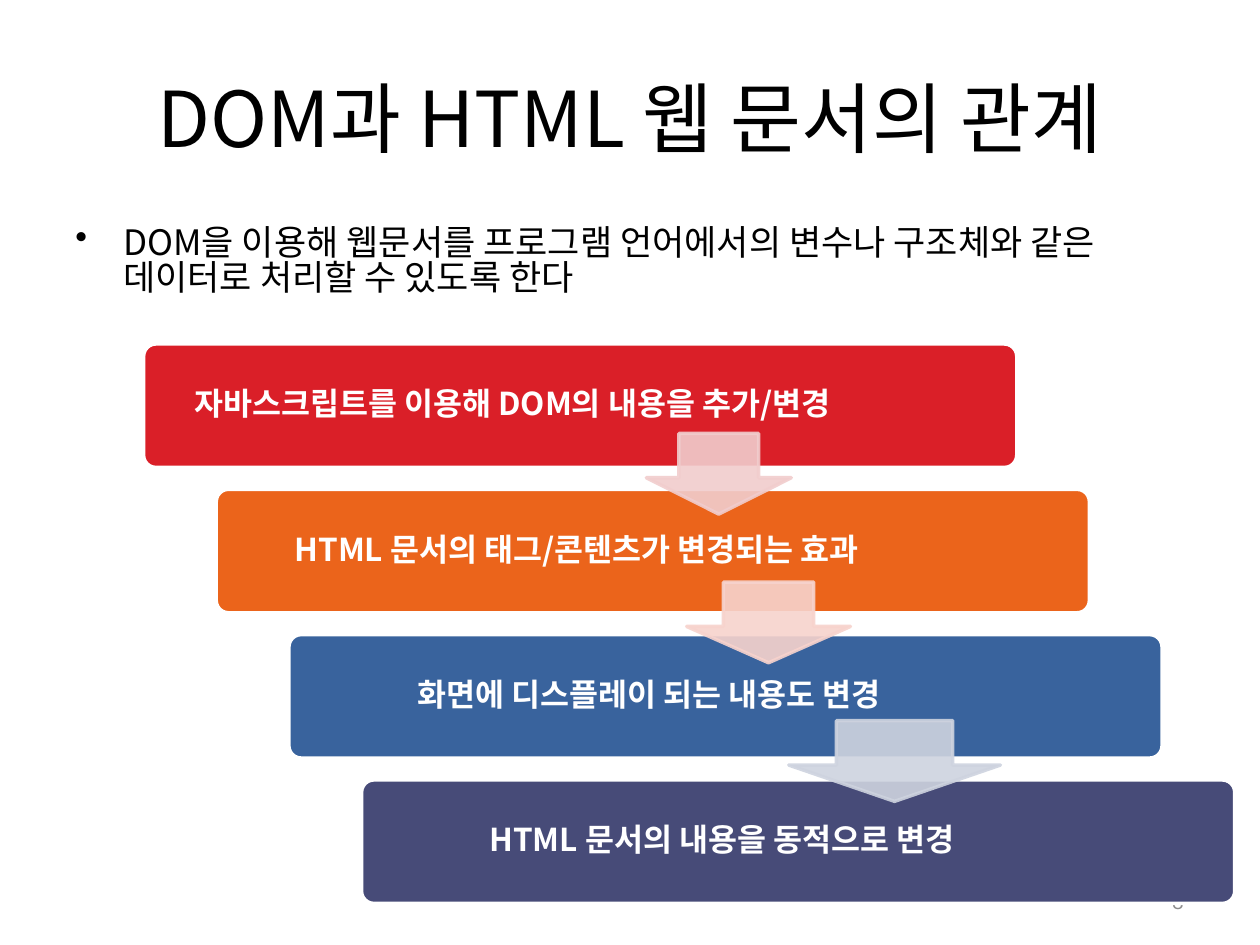
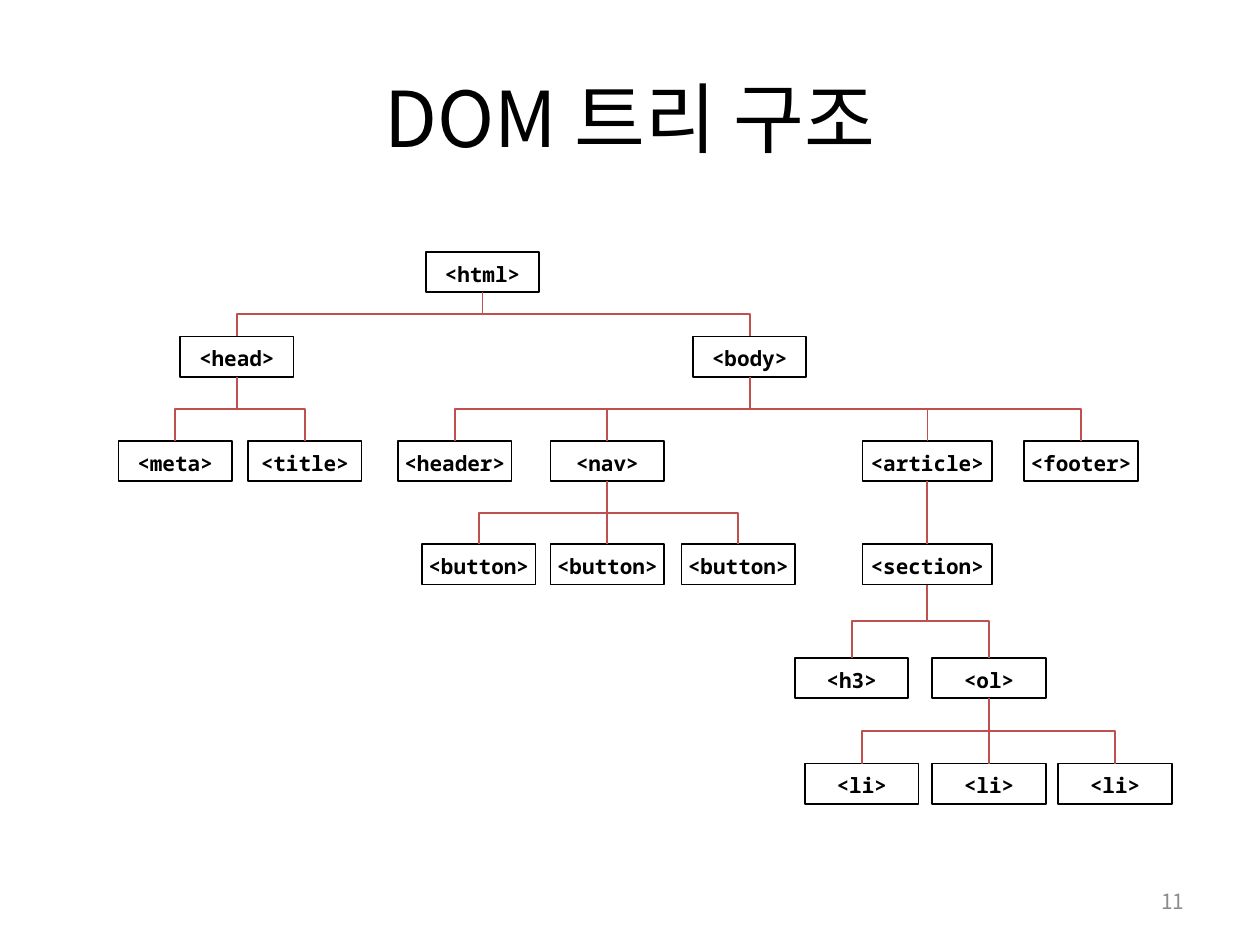
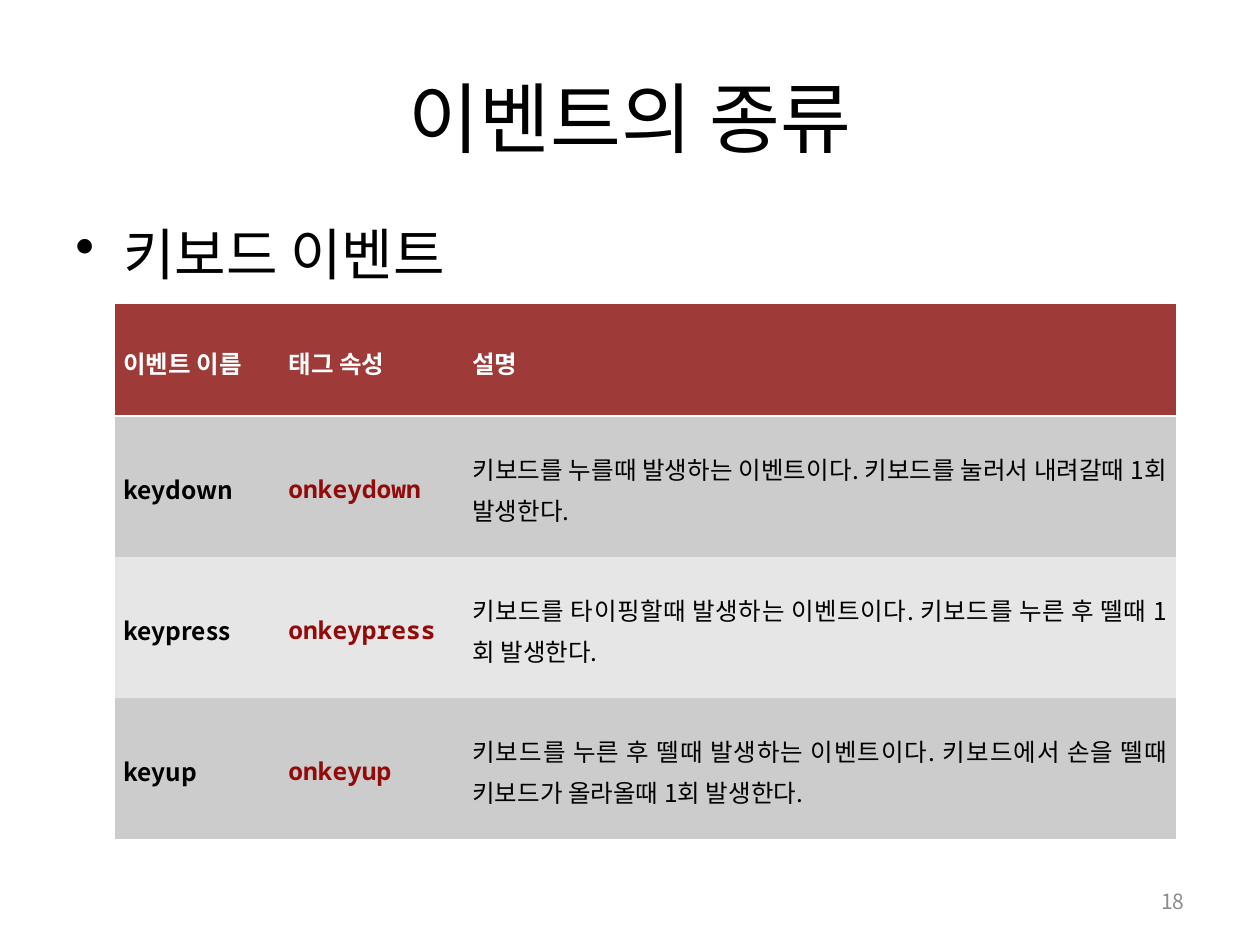
from dataclasses import dataclass

from pptx import Presentation
from pptx.dml.color import RGBColor as RGB
from pptx.enum.shapes import MSO_CONNECTOR as LINK, MSO_SHAPE as FORM
from pptx.enum.text import MSO_ANCHOR as ANCHOR, PP_ALIGN as ALIGN
from pptx.oxml.ns import qn
from pptx.oxml.xmlchemy import OxmlElement as Node
from pptx.util import Inches, Pt


@dataclass(frozen=True)
class Theme:
    sans: str = "Noto Sans CJK KR"
    mono: str = "Noto Sans Mono"
    ink: str = "000000"
    white: str = "FFFFFF"
    gray: str = "8C8C8C"
    link: str = "C0504D"
    head: str = "9E3A38"
    attr: str = "900B09"
    bands: tuple = ("CCCCCC", "E6E6E6")
    title: int = 44
    big: int = 32
    body: int = 20
    step: int = 18
    cell: int = 14
    small: int = 12


T = Theme()


def write(frame, text, size, color=T.ink, face=T.sans, bold=False,
          align=ALIGN.LEFT, space=None, pad=None, anchor=ANCHOR.MIDDLE):
    """Fill a text frame or table cell with one styled paragraph."""
    par = getattr(frame, "text_frame", frame).paragraphs[0]
    par.text = text
    par.alignment = align
    if space:
        par.line_spacing = space
    font = par.font
    font.size, font.bold, font.name = Pt(size), bold, face
    font.color.rgb = RGB.from_string(color)
    asian = Node("a:ea")
    asian.set("typeface", face)
    par._p.pPr.find(qn("a:defRPr")).find(qn("a:latin")).addnext(asian)
    frame.vertical_anchor = anchor
    if pad:
        frame.margin_left = frame.margin_right = Inches(pad[0])
        frame.margin_top = frame.margin_bottom = Inches(pad[1])
    return par


def place(page, form, left, top, wide, high, fill=None, edge=None, width=1):
    """Add a shape, or a wrapping text box when form is None."""
    area = [Inches(v) for v in (left, top, wide, high)]
    if form is None:
        box = page.shapes.add_textbox(*area)
        box.text_frame.word_wrap = True
        return box
    box = page.shapes.add_shape(form, *area)
    box.shadow.inherit = False
    box.fill.solid()
    box.fill.fore_color.rgb = RGB.from_string(fill)
    box.line.color.rgb = RGB.from_string(edge)
    box.line.width = Pt(width)
    return box


deck = Presentation()
deck.slide_width, deck.slide_height = Inches(10), Inches(7.5)

# Titles, bullets and page numbers: title, number, (bullet, size, spacing)
heads = [
    ("DOM과 HTML 웹 문서의 관계", 8,
     ("DOM을 이용해 웹문서를 프로그램 언어에서의 변수나 구조체와 같은 "
      "데이터로 처리할 수 있도록 한다", T.body, 0.85)),
    ("DOM 트리 구조", 11, None),
    ("이벤트의 종류", 18, ("키보드 이벤트", T.big, 0.9)),
]
pages = []
for title, num, point in heads:
    page = deck.slides.add_slide(deck.slide_layouts[6])
    pages.append(page)
    box = place(page, None, 0.5, 0.3, 9, 1.25)
    write(box.text_frame, title, T.title, align=ALIGN.CENTER)
    if point:
        text, size, space = point
        box = place(page, None, 0.5, 1.75, 9, 1.06)
        par = write(box.text_frame, text, size, space=space, anchor=ANCHOR.TOP)
        prop = par._p.pPr
        prop.set("marL", str(Inches(0.38)))
        prop.set("indent", str(Inches(-0.38)))
        dot = Node("a:buChar")
        dot.set("char", "•")
        prop.find(qn("a:defRPr")).addprevious(dot)
    box = place(page, None, 7.17, 6.95, 2.33, 0.4)
    write(box.text_frame, str(num), T.small, T.gray, align=ALIGN.RIGHT)

flow, tree, keys = pages

# Staircase of steps: text, fill, label width
steps = [
    ("자바스크립트를 이용해 DOM의 내용을 추가/변경", "DA1F28", 5.79),
    ("HTML 문서의 태그/콘텐츠가 변경되는 효과", "EB641B", 5.66),
    ("화면에 디스플레이 되는 내용도 변경", "39639D", 5.66),
    ("HTML 문서의 내용을 동적으로 변경", "474B78", 5.66),
]
for i, (text, fill, wide) in enumerate(steps):
    left, top = 1.14 + 1.73 * i / 3, 2.73 + 3.46 * i / 3
    bar = place(flow, FORM.ROUNDED_RECTANGLE, left, top, 6.93, 0.98,
                fill, T.white, 2)
    bar.adjustments[0] = 0.1
    box = place(flow, None, left + 0.03, top + 0.03, wide, 0.92)
    write(box.text_frame, text, T.step, T.white, bold=True,
          align=ALIGN.CENTER, space=0.9, pad=(0.07, 0.07))

# Translucent arrows between the steps: left, top, width, colour
arrows = [(5.13, 3.44, 1.15, "F1CDCD"), (5.45, 4.62, 1.3, "F7D3CD"),
          (6.26, 5.72, 1.68, "CED3DF")]
for left, top, wide, color in arrows:
    arrow = place(flow, FORM.DOWN_ARROW, left, top, wide, 0.64, color, color, 2)
    arrow.adjustments[0], arrow.adjustments[1] = 0.55, 0.45
    for paint in arrow._element.spPr.iter(qn("a:srgbClr")):
        alpha = Node("a:alpha")
        alpha.set("val", "90000")
        paint.append(alpha)

# DOM tree: tag, centre, level, index of the parent
tops = [2, 2.67, 3.5, 4.32, 5.22, 6.06]
high = 0.32
nodes = [
    ("html", 3.83, 0, None),
    ("head", 1.88, 1, 0), ("body", 5.95, 1, 0),
    ("meta", 1.39, 2, 1), ("title", 2.42, 2, 1),
    ("header", 3.61, 2, 2), ("nav", 4.82, 2, 2),
    ("article", 7.36, 2, 2), ("footer", 8.58, 2, 2),
    ("button", 3.8, 3, 6), ("button", 4.82, 3, 6), ("button", 5.86, 3, 6),
    ("section", 7.36, 3, 7),
    ("h3", 6.76, 4, 12), ("ol", 7.85, 4, 12),
    ("li", 6.84, 5, 14), ("li", 7.85, 5, 14), ("li", 8.85, 5, 14),
]
for tag, mid, level, _ in nodes:
    wide = 1.03 if tag in ("article", "section") else 0.9
    box = place(tree, FORM.RECTANGLE, mid - wide / 2, tops[level], wide, high,
                T.white, T.ink)
    write(box.text_frame, f"<{tag}>", T.small, face=T.mono, bold=True,
          align=ALIGN.CENTER, space=1.15, pad=(0.04, 0.04))

# Links leave downwards, so an elbow is laid out sideways and then turned
for _, end, level, up in nodes[1:]:
    start, foot = nodes[up][1], tops[nodes[up][2]] + high
    drop, run = tops[level] - foot, end - start
    if run:
        x, y = (start + end) / 2, foot + drop / 2
        half = drop / 2 if run > 0 else -drop / 2
        ends = (x + half, y - abs(run) / 2, x - half, y + abs(run) / 2)
        kind = LINK.ELBOW
    else:
        ends = (start, foot, end, tops[level])
        kind = LINK.STRAIGHT
    line = tree.shapes.add_connector(kind, *[Inches(v) for v in ends])
    line.line.color.rgb = RGB.from_string(T.link)
    line.line.width = Pt(1)
    prop = line._element.spPr
    prop.append(Node("a:effectLst"))
    if run:
        prop.xfrm.set("rot", str((270 if run > 0 else 90) * 60000))

# Table of keyboard events
rows = [
    ("이벤트 이름", "태그 속성", "설명"),
    ("keydown", "onkeydown",
     "키보드를 누를때 발생하는 이벤트이다. 키보드를 눌러서 내려갈때 1회 발생한다."),
    ("keypress", "onkeypress",
     "키보드를 타이핑할때 발생하는 이벤트이다. 키보드를 누른 후 뗄때 1회 발생한다."),
    ("keyup", "onkeyup",
     "키보드를 누른 후 뗄때 발생하는 이벤트이다. "
     "키보드에서 손을 뗄때 키보드가 올라올때 1회 발생한다."),
]
looks = [(T.ink, T.sans, True), (T.attr, T.mono, True), (T.ink, T.sans, False)]
grid = keys.shapes.add_table(4, 3, Inches(0.91), Inches(2.41),
                             Inches(8.42), Inches(4.25)).table
grid.first_row = grid.horz_banding = False
plain = "{2D5ABB26-0587-4C30-8999-92F81FD0307C}"
grid._tbl.tblPr.find(qn("a:tableStyleId")).text = plain
for col, wide in zip(grid.columns, (1.31, 1.46, 5.65)):
    col.width = Inches(wide)
for r, row in enumerate(rows):
    grid.rows[r].height = Inches(1.12 if r else 0.89)
    for c, text in enumerate(row):
        cell = grid.cell(r, c)
        color, face, bold = looks[c] if r else (T.white, T.sans, True)
        write(cell, text, T.cell, color, face, bold,
              ALIGN.JUSTIFY, 1.15, (0.07, 0))
        cell.fill.solid()
        fill = T.bands[(r - 1) % 2] if r else T.head
        cell.fill.fore_color.rgb = RGB.from_string(fill)
        if r == 0:
            rule, solid, paint = Node("a:lnB"), Node("a:solidFill"), Node("a:srgbClr")
            rule.set("w", str(Pt(1.5)))
            paint.set("val", T.white)
            solid.append(paint)
            rule.append(solid)
            cell._tc.tcPr.insert(0, rule)

deck.save("out.pptx")
